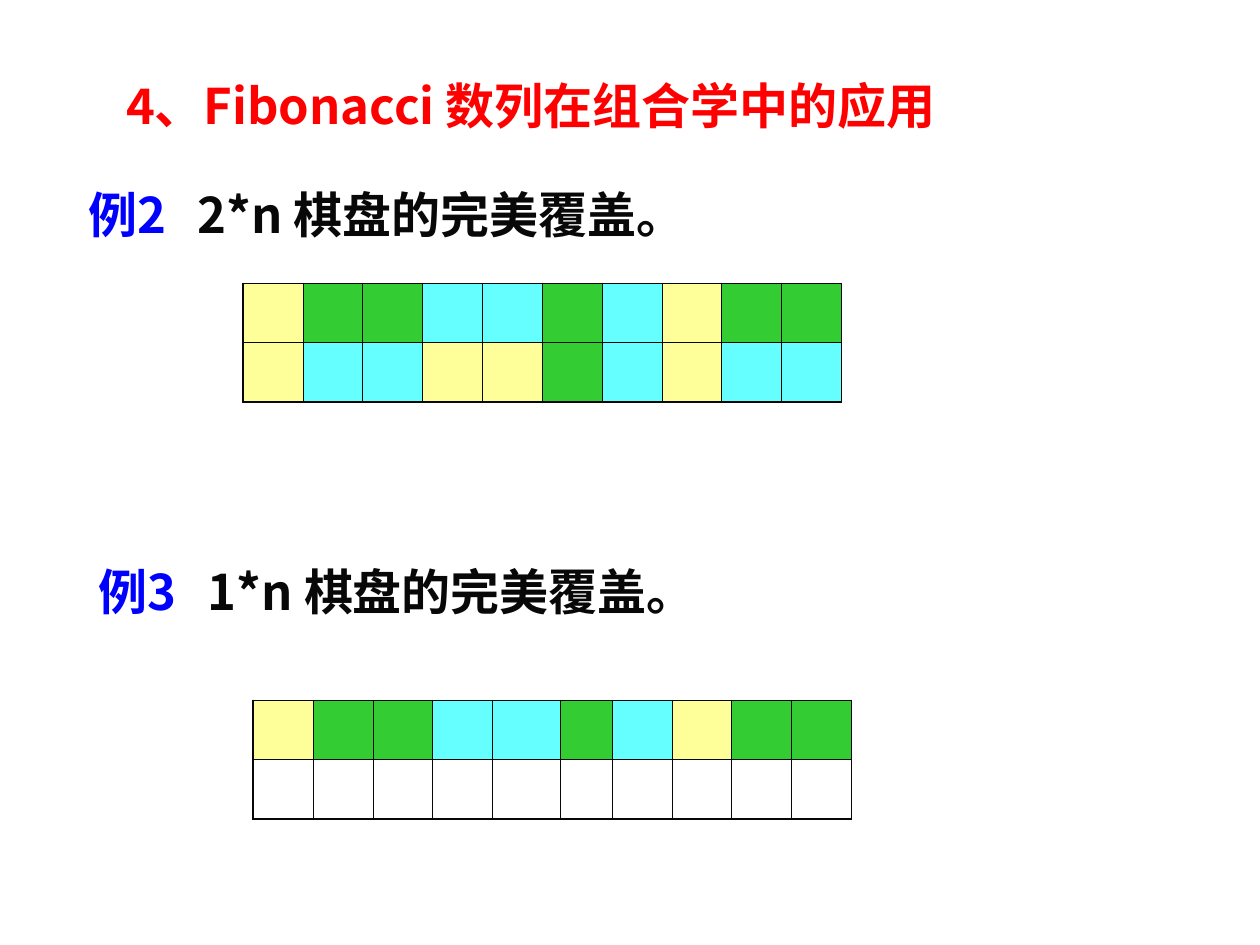
from dataclasses import dataclass

from lxml.etree import SubElement as sub_element
from pptx import Presentation
from pptx.dml.color import RGBColor
from pptx.enum.text import MSO_ANCHOR as Anchor, MSO_AUTO_SIZE as AutoSize, PP_ALIGN as Align
from pptx.oxml.ns import qn
from pptx.util import Inches, Pt


@dataclass(frozen=True)
class Theme:
    font: str = "Noto Sans CJK SC"
    size: float = 28
    heading: str = "FF0000"
    label: str = "0000FF"
    ink: str = "080808"
    yellow: str = "FFFF99"
    green: str = "33CC33"
    cyan: str = "66FFFF"
    thin: float = 0.45
    thick: float = 1.08


def add_run(paragraph, text, *, font, size, color, bold=True):
    run = paragraph.add_run()
    run.text = text
    run.font.name = font
    run.font.size = Pt(size)
    run.font.bold = bold
    run.font.color.rgb = RGBColor.from_string(color)
    sub_element(run.font._element, qn("a:ea"), typeface=font)


class BoardSlide:
    """Draws headings and chessboards on one slide in a shared style."""

    def __init__(self, slide, theme):
        self.slide = slide
        self.theme = theme
        self.domino_fills = {"Y": theme.yellow, "G": theme.green, "C": theme.cyan}

    def write_line(self, box, parts, inset=0.1, tab=None):
        frame = box.text_frame
        frame.word_wrap = True
        frame.auto_size = AutoSize.NONE
        frame.vertical_anchor = Anchor.TOP
        frame.margin_left = Inches(inset)
        line = frame.paragraphs[0]
        line.alignment = Align.LEFT
        line.line_spacing = 0.9
        line.space_before = Pt(7)
        if tab:
            stops = sub_element(line._p.get_or_add_pPr(), qn("a:tabLst"))
            sub_element(stops, qn("a:tab"), pos=str(Inches(tab)), algn="l")
        for text, color in parts:
            add_run(line, text, font=self.theme.font, size=self.theme.size, color=color)

    def title(self, text, left, top, width, height):
        heading = self.slide.shapes.title
        heading.left, heading.top = Inches(left), Inches(top)
        heading.width, heading.height = Inches(width), Inches(height)
        self.write_line(heading, [(text, self.theme.heading)])

    def example(self, label, statement, left, top):
        box = self.slide.shapes.add_textbox(
            Inches(left), Inches(top), Inches(9.29), Inches(0.79))
        parts = [(f"{label}\t", self.theme.label), (statement, self.theme.ink)]
        self.write_line(box, parts, inset=0.27, tab=0.87)

    def border(self, cell, side, width):
        line = sub_element(cell._tc.get_or_add_tcPr(), qn(f"a:ln{side}"), w=str(Pt(width)))
        fill = sub_element(line, qn("a:solidFill"))
        sub_element(fill, qn("a:srgbClr"), val=self.theme.ink)

    def board(self, rows, left, top, widths, square=0.47):
        row_count, column_count = len(rows), len(widths)
        grid = self.slide.shapes.add_table(
            row_count, column_count, Inches(left), Inches(top),
            Inches(sum(widths)), Inches(square * row_count)).table
        grid.first_row = grid.horz_banding = False
        for column, width in zip(grid.columns, widths):
            column.width = Inches(width)
        for r, row in enumerate(rows):
            grid.rows[r].height = Inches(square)
            for c, domino in enumerate(row):
                cell = grid.cell(r, c)
                outer_edges = {"L": c == 0, "R": c == column_count - 1,
                               "T": r == 0, "B": r == row_count - 1}
                for side, outer in outer_edges.items():
                    self.border(cell, side, self.theme.thick if outer else self.theme.thin)
                if domino in self.domino_fills:
                    cell.fill.solid()
                    cell.fill.fore_color.rgb = RGBColor.from_string(self.domino_fills[domino])
                else:
                    cell.fill.background()


def main():
    deck = Presentation()
    deck.slide_width, deck.slide_height = Inches(10), Inches(7.5)
    page = BoardSlide(deck.slides.add_slide(deck.slide_layouts[5]), Theme())

    even_columns = [0.475] * 10
    shifted_columns = [0.475] * 4 + [0.54, 0.41] + [0.475] * 4
    top_row = "YGGCCGCYGG"

    page.title("4、Fibonacci 数列在组合学中的应用", 0.9, 0.6, 7.56, 0.63)
    page.example("例2", "2*n 棋盘的完美覆盖。", 0.43, 1.47)
    page.board([top_row, "YCCYYGCYCC"], 1.93, 2.25, even_columns)
    page.example("例3", "1*n 棋盘的完美覆盖。", 0.51, 4.46)
    page.board([top_row, "-" * 10], 2.01, 5.56, shifted_columns)

    deck.save("out.pptx")


if __name__ == "__main__":
    main()
